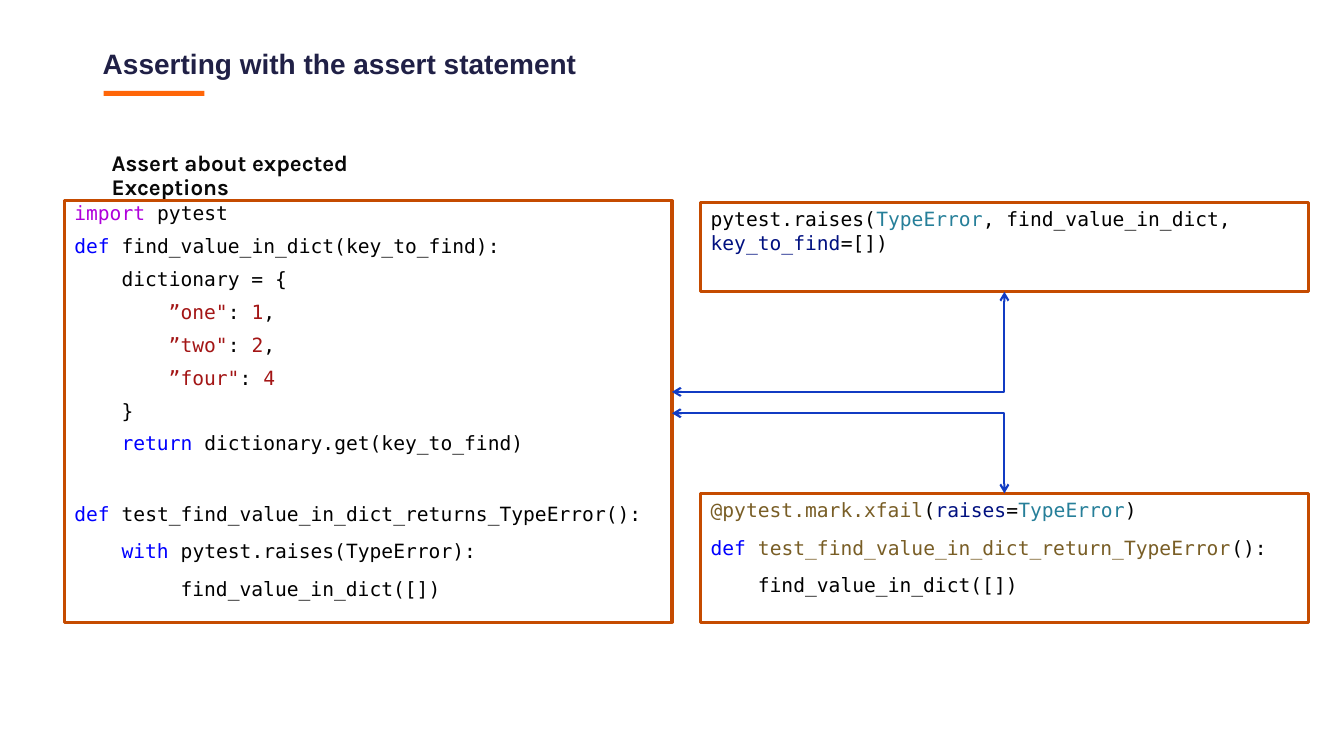
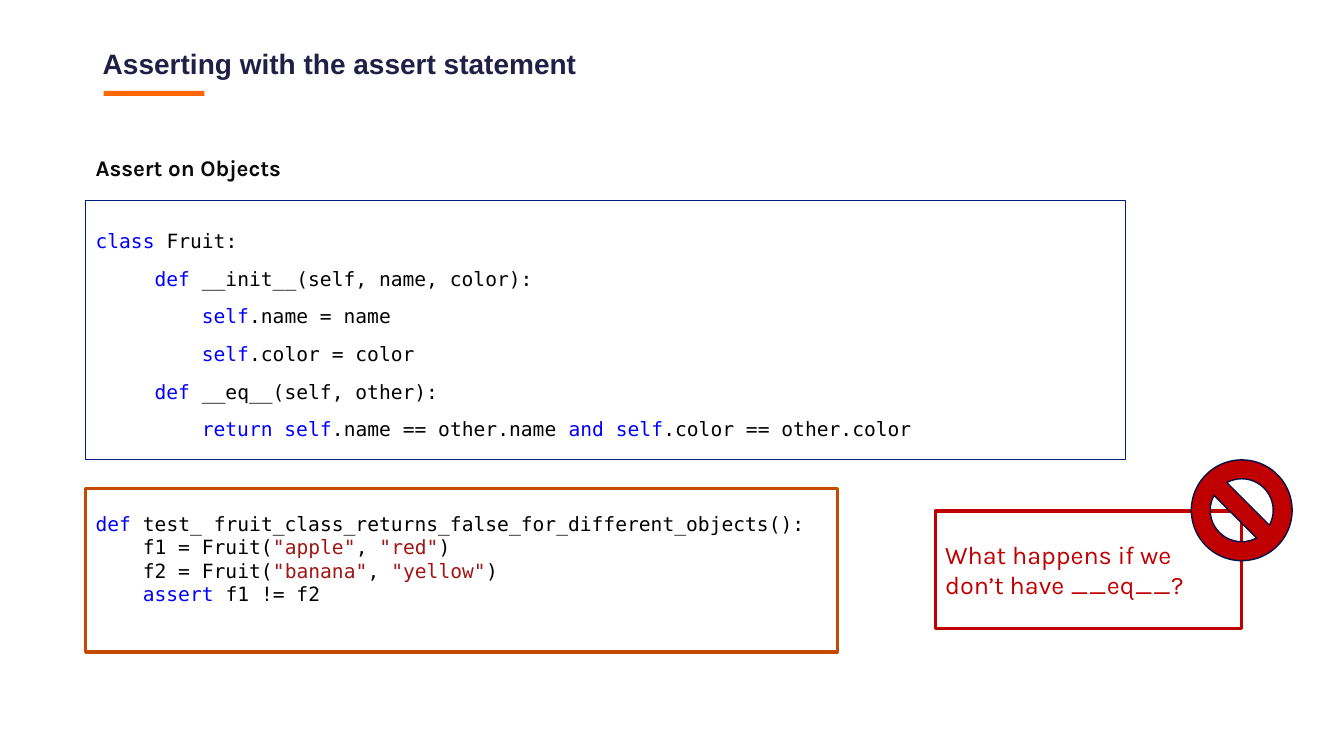
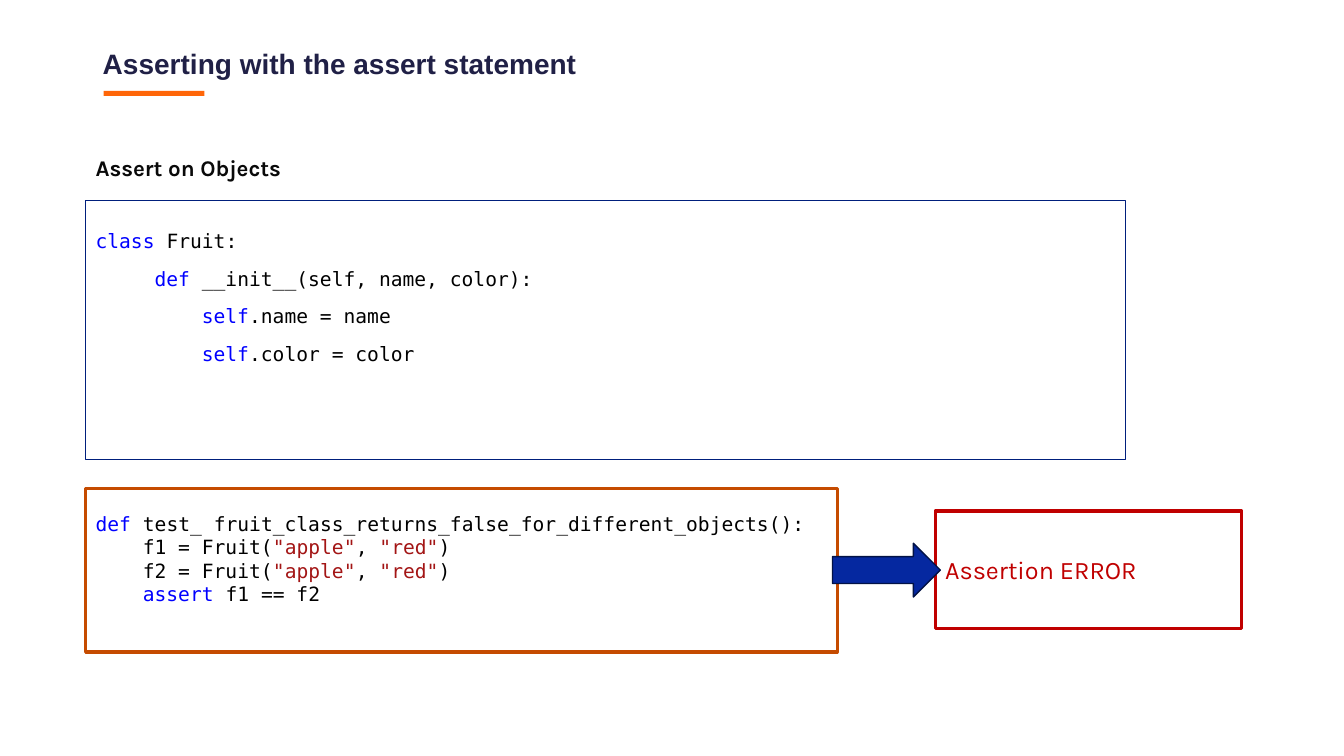
"""Build three slides about the assert statement in pytest."""
import lxml.etree
import pptx
import pptx.dml.color
import pptx.enum.shapes
import pptx.enum.text
import pptx.oxml.ns
import pptx.util

Pt = pptx.util.Pt
RGBColor = pptx.dml.color.RGBColor
Shape = pptx.enum.shapes.MSO_SHAPE
Anchor = pptx.enum.text.MSO_ANCHOR
qn = pptx.oxml.ns.qn

NAVY = RGBColor(0x20, 0x20, 0x46)
ORANGE = RGBColor(0xFF, 0x66, 0x08)
RUST = RGBColor(0xC5, 0x4B, 0x00)
INK = RGBColor(0x09, 0x09, 0x09)
BLACK = RGBColor(0x00, 0x00, 0x00)
RED = RGBColor(0xC0, 0x00, 0x00)
FRAME_BLUE = RGBColor(0x00, 0x1F, 0x7C)
CONNECTOR_BLUE = RGBColor(0x11, 0x3B, 0xC3)
ARROW_BLUE = RGBColor(0x05, 0x28, 0xA0)
OUTLINE = RGBColor(0x02, 0x12, 0x46)
KEYWORD = RGBColor(0x00, 0x00, 0xFF)
IMPORT = RGBColor(0xAF, 0x00, 0xDB)
LITERAL = RGBColor(0xA3, 0x15, 0x15)
TYPE = RGBColor(0x26, 0x7F, 0x99)
ARGUMENT = RGBColor(0x00, 0x10, 0x80)
FUNCTION = RGBColor(0x79, 0x5E, 0x26)

CODE_FONT = "DejaVu Sans Mono"
TEXT_FONT = "Karla"
CHARACTER_WIDTH = 8.43
CODE_LINE = 16.8
INSET = 3.6


def add_shape(slide, kind, place, fill=None, line=None, width=1):
    shape = slide.shapes.add_shape(kind, *map(Pt, place))
    shape.shadow.inherit = False
    if fill is None:
        shape.fill.background()
    else:
        shape.fill.solid()
        shape.fill.fore_color.rgb = fill
    if line is None:
        shape.line.fill.background()
    else:
        shape.line.color.rgb = line
        shape.line.width = Pt(width)
    return shape


def write(shape, lines, font=CODE_FONT, size=14, color=BLACK, bold=False, before=10, anchor=Anchor.TOP):
    frame = shape.text_frame
    frame.word_wrap = True
    frame.vertical_anchor = anchor
    for number, (indent, *pieces) in enumerate(lines):
        paragraph = frame.add_paragraph() if number else frame.paragraphs[0]
        paragraph.alignment = pptx.enum.text.PP_ALIGN.LEFT
        paragraph.space_before = Pt(before)
        if indent:
            paragraph._p.get_or_add_pPr().set("marL", str(Pt(indent * CHARACTER_WIDTH)))
        for piece in pieces:
            text, run_color = (piece, color) if isinstance(piece, str) else piece
            run = paragraph.add_run()
            run.text = text
            run.font.name = font
            run.font.size = Pt(size)
            run.font.bold = bold
            run.font.color.rgb = run_color
    return frame


presentation = pptx.Presentation()
presentation.slide_width = Pt(960)
presentation.slide_height = Pt(540)
layout = presentation.slide_layouts[5]

subheadings = [
    ("Assert about expected Exceptions", 72.72, 105),
    ("Assert on Objects", 61.2, 108.7),
    ("Assert on Objects", 61.2, 108.7),
]
for subheading, left, top in subheadings:
    slide = presentation.slides.add_slide(layout)
    title = slide.shapes.title
    title.left, title.top, title.width, title.height = map(Pt, (66.2, 28.8, 828, 36))
    title.text_frame.text = "Asserting with the assert statement"
    title.text_frame.vertical_anchor = Anchor.MIDDLE
    title.text_frame.auto_size = pptx.enum.text.MSO_AUTO_SIZE.NONE
    paragraph = title.text_frame.paragraphs[0]
    paragraph.alignment = pptx.enum.text.PP_ALIGN.LEFT
    paragraph.line_spacing = 0.9
    font = paragraph.runs[0].font
    font.name, font.size, font.bold = "Arial", Pt(20), True
    font.color.rgb = NAVY
    text_box = slide.shapes.add_textbox(*map(Pt, (left, top, 267, 35)))
    frame = write(text_box, [(0, subheading)], TEXT_FONT, 16, INK, True)
    frame.paragraphs[0].line_spacing = 0.9

exception_slide, equality_slide, error_slide = presentation.slides

underline = add_shape(exception_slide, Shape.RECTANGLE, (74, 65, 72, 3.6), fill=ORANGE)
underline.element.xpath("p:nvSpPr/p:cNvPr")[0].set("id", "99")
layout.shapes.element.append(underline.element)

function_code = [
    (0, ("import ", IMPORT), "pytest"),
    (0, ("def ", KEYWORD), "find_value_in_dict(key_to_find):"),
    (4, "dictionary = {"),
    (8, ("”one\"", LITERAL), ": ", ("1", LITERAL), ","),
    (8, ("”two\"", LITERAL), ": ", ("2", LITERAL), ","),
    (8, ("”four\"", LITERAL), ": ", ("4", LITERAL)),
    (4, "}"),
    (4, ("return ", KEYWORD), "dictionary.get(key_to_find)"),
    (0, ("def ", KEYWORD), "test_find_value_in_dict_returns_TypeError():"),
    (4, ("with ", KEYWORD), "pytest.raises(TypeError):"),
    (9, "find_value_in_dict([])"),
]
raises_code = [
    (0, "pytest.raises(", ("TypeError", TYPE), ", find_value_in_dict, ", ("key_to_find", ARGUMENT), "=[])"),
]
xfail_code = [
    (0, ("@pytest.mark.xfail", FUNCTION), "(", ("raises", ARGUMENT), "=", ("TypeError", TYPE), ")"),
    (0, ("def ", KEYWORD), ("test_find_value_in_dict_return_TypeError", FUNCTION), "():"),
    (4, "find_value_in_dict([])"),
]
function_box, raises_box, xfail_box = [
    add_shape(exception_slide, Shape.RECTANGLE, place, line=RUST, width=2.25)
    for place in [(46, 143.4, 434, 301), (500.5, 144.5, 434, 64), (500.5, 352.4, 434, 92)]
]
function_frame = write(function_box, function_code)
for paragraph in function_frame.paragraphs[:8]:
    paragraph.line_spacing = Pt(13.5)
function_frame.paragraphs[8].space_before = Pt(33.5)
write(raises_box, raises_code)
write(xfail_box, xfail_code)

for start_y, end_y in [(280, 208.5), (295.2, 352.4)]:
    connector = exception_slide.shapes.add_connector(
        pptx.enum.shapes.MSO_CONNECTOR.ELBOW, Pt(480), Pt(start_y), Pt(717.5), Pt(end_y))
    connector.line.color.rgb = CONNECTOR_BLUE
    connector.line.width = Pt(1.5)
    properties = connector.element.spPr
    properties.find(qn("a:prstGeom")).set("prst", "bentConnector2")
    for end in ("a:headEnd", "a:tailEnd"):
        lxml.etree.SubElement(properties.find(qn("a:ln")), qn(end), type="arrow")
    lxml.etree.SubElement(properties, qn("a:effectLst"))

class_code = [
    (0, ("class", KEYWORD), " Fruit:"),
    (5, ("def", KEYWORD), " __init__(self, name, color):"),
    (9, ("self", KEYWORD), ".name = name"),
    (9, ("self", KEYWORD), ".color = color"),
]
equality_code = [
    (5, ("def", KEYWORD), " __eq__(self, other):"),
    (9, ("return self", KEYWORD), ".name == other.name ", ("and self", KEYWORD), ".color == other.color"),
]
object_slides = [
    (equality_slide, class_code + equality_code, ("banana", "yellow"), "!=",
     ["What happens if we", "don’t have __eq__?"]),
    (error_slide, class_code, ("apple", "red"), "==", ["Assertion ERROR"]),
]
for slide, code, second_fruit, operator, message in object_slides:
    class_box = add_shape(slide, Shape.RECTANGLE, (61.2, 143.4, 742.5, 185), line=FRAME_BLUE, width=0.75)
    write(class_box, code).margin_top = Pt(INSET + CODE_LINE)

    test_code = [(0, ("def", KEYWORD), " test_ fruit_class_returns_false_for_different_objects():")]
    for variable, (name, color) in [("f1", ("apple", "red")), ("f2", second_fruit)]:
        test_code.append((4, f"{variable} = Fruit(", (f'"{name}"', LITERAL), ", ", (f'"{color}"', LITERAL), ")"))
    test_code.append((4, ("assert", KEYWORD), f" f1 {operator} f2"))
    test_box = add_shape(slide, Shape.RECTANGLE, (61.2, 349, 536.8, 116.8), line=RUST, width=2.25)
    write(test_box, test_code, before=0, anchor=Anchor.MIDDLE).margin_bottom = Pt(INSET + CODE_LINE)

    message_box = add_shape(slide, Shape.RECTANGLE, (668, 365, 219, 84), line=RED, width=2.25)
    write(message_box, [(0, line) for line in message], TEXT_FONT, 18, RED, before=0, anchor=Anchor.MIDDLE)

add_shape(equality_slide, Shape.NO_SYMBOL, (851, 328.5, 72, 72), fill=RED, line=OUTLINE)
add_shape(error_slide, Shape.RIGHT_ARROW, (594.7, 388, 77, 38.4), fill=ARROW_BLUE, line=OUTLINE)

presentation.save("out.pptx")
